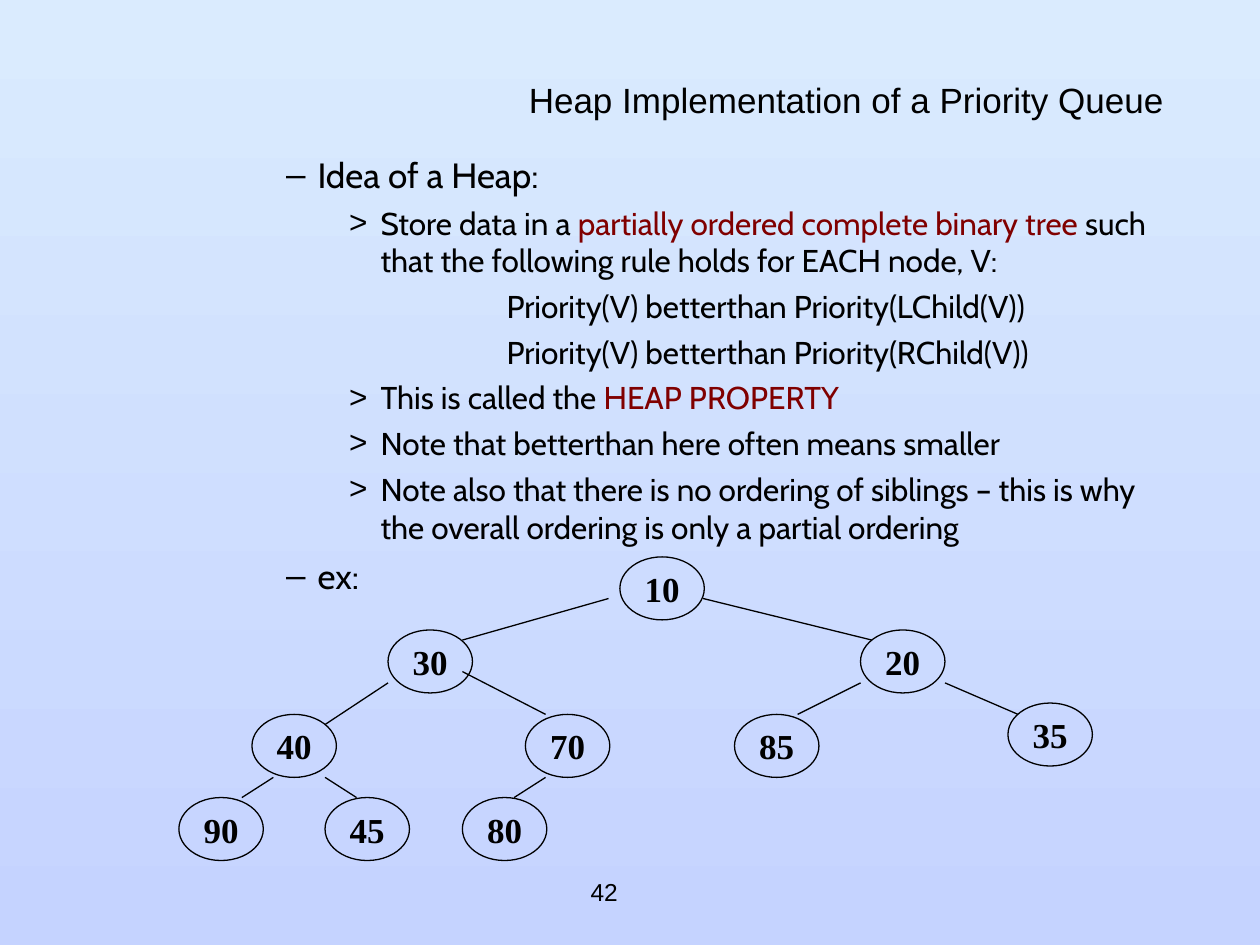
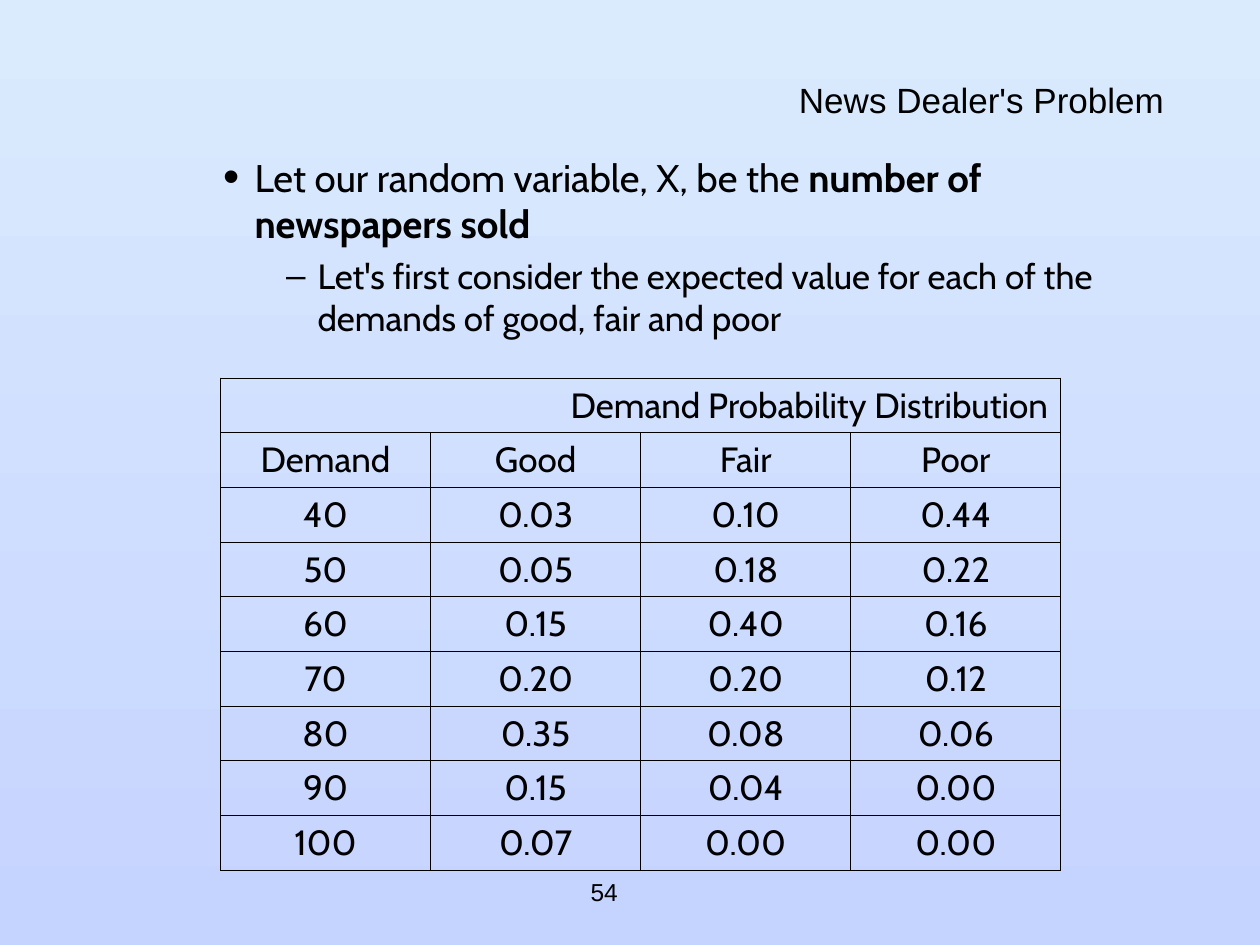
from lxml import etree
from pptx import Presentation
from pptx.dml.color import RGBColor
from pptx.enum.shapes import MSO_CONNECTOR, MSO_SHAPE
from pptx.enum.text import MSO_ANCHOR, MSO_AUTO_SIZE, PP_ALIGN
from pptx.oxml.ns import qn
from pptx.util import Inches, Pt

OVAL = MSO_SHAPE.OVAL
LINE = MSO_CONNECTOR.STRAIGHT
MIDDLE, TOP = MSO_ANCHOR.MIDDLE, MSO_ANCHOR.TOP
NO_FIT = MSO_AUTO_SIZE.NONE
CENTER, LEFT, RIGHT = PP_ALIGN.CENTER, PP_ALIGN.LEFT, PP_ALIGN.RIGHT

COLORS = {"ink": "000000", "key": "800000", "sky": "DAEBFE", "base": "C5D3FF"}
SANS, BODY, SERIF = "Arial", "Cabin", "Times New Roman"

# Text size and bullet by list level
SIZES = {2: 22, 3: 20, 4: 18}
MARKS = {2: "•", 3: "–", 4: ">"}

# Heap nodes: value, left, top
NODES = [
    (10, 4.92, 4.42), (30, 3.08, 5), (40, 2, 5.67), (70, 4.17, 5.67),
    (90, 1.42, 6.33), (45, 2.58, 6.33), (20, 6.83, 5), (80, 3.67, 6.33),
    (35, 8, 5.58), (85, 5.83, 5.67),
]
# Heap edges: start x, start y, end x, end y
EDGES = [
    (3.67, 5.08, 4.83, 4.75), (2.58, 5.75, 3.08, 5.42),
    (1.92, 6.33, 2.17, 6.17), (2.83, 6.33, 2.58, 6.17),
    (4.08, 6.33, 4.33, 6.17), (4.33, 5.67, 3.67, 5.33),
    (5.58, 4.75, 6.92, 5.08), (6.33, 5.67, 6.83, 5.42),
    (7.5, 5.42, 8.08, 5.67),
]
# List rows: level, bulleted, runs (every second run is stressed)
HEAP = [
    (3, True, ["Idea of a Heap:"]),
    (4, True, ["Store data in a ", "partially ordered complete binary tree",
               " such that the following rule holds for EACH node, V:"]),
    (4, False, ["Priority(V) betterthan Priority(LChild(V))"]),
    (4, False, ["Priority(V) betterthan Priority(RChild(V))"]),
    (4, True, ["This is called the ", "HEAP PROPERTY"]),
    (4, True, ["Note that betterthan here often means smaller"]),
    (4, True, ["Note also that there is no ordering of siblings – this is why "
               "the overall ordering is only a partial ordering"]),
    (3, True, ["ex:"]),
]
NEWS = [
    (2, True, ["Let our random variable, X, be the ",
               "number of newspapers sold"]),
    (3, True, ["Let's first consider the expected value for each of the "
               "demands of good, fair and poor"]),
]
DEMAND = [
    ("Demand", "Good", "Fair", "Poor"),
    ("40", "0.03", "0.10", "0.44"),
    ("50", "0.05", "0.18", "0.22"),
    ("60", "0.15", "0.40", "0.16"),
    ("70", "0.20", "0.20", "0.12"),
    ("80", "0.35", "0.08", "0.06"),
    ("90", "0.15", "0.04", "0.00"),
    ("100", "0.07", "0.00", "0.00"),
]


def rgb(name):
    return RGBColor.from_string(COLORS[name])


def box(x, y, w, h):
    return [Inches(n) for n in (x, y, w, h)]


def place(shape, x, y, w, h):
    shape.left, shape.top, shape.width, shape.height = box(x, y, w, h)


def style(run, size, face, color="ink", bold=False):
    font = run.font
    font.size, font.name, font.bold = Pt(size), face, bold
    font.color.rgb = rgb(color)


def label(frame, text, size, face, align=CENTER, bold=False):
    """Fill a frame with one styled line."""
    frame.text = text
    para = frame.paragraphs[0]
    para.alignment = align
    style(para.runs[0], size, face, bold=bold)
    return para


def paint(master):
    """Give all slides the same blue gradient."""
    fill = master.background.fill
    fill.gradient()
    fill.gradient_angle = 270
    for stop, name in zip(fill.gradient_stops, ("sky", "base")):
        stop.color.rgb = rgb(name)


def start(deck, title, page):
    """Add a slide with its title and page number."""
    slide = deck.slides.add_slide(deck.slide_layouts[1])
    head = slide.shapes.title
    place(head, 0.67, 0.67, 8.67, 0.33)
    frame = head.text_frame
    frame.auto_size, frame.vertical_anchor = NO_FIT, MIDDLE
    label(frame, title, 20, SANS, RIGHT).line_spacing = 0.7

    foot = slide.shapes.add_textbox(*box(3.42, 6.83, 2.75, 0.5)).text_frame
    foot.word_wrap, foot.vertical_anchor = False, MIDDLE
    label(foot, str(page), 14, SANS)
    return slide


def bullet(para, level, marked):
    """Set the indent and the bullet of a list row."""
    props = para._p.get_or_add_pPr()
    left = 0.5 * level + 0.25 if marked else 3.25
    props.set("marL", str(Inches(left)))
    props.set("indent", str(Inches(-0.25 if marked else 0)))
    if not marked:
        etree.SubElement(props, qn("a:buNone"))
        return
    tint = etree.SubElement(props, qn("a:buClr"))
    etree.SubElement(tint, qn("a:srgbClr"), val=COLORS["ink"])
    scale = "120000" if level == 2 else "100000"
    etree.SubElement(props, qn("a:buSzPct"), val=scale)
    etree.SubElement(props, qn("a:buFont"), typeface=SANS)
    etree.SubElement(props, qn("a:buChar"), char=MARKS[level])


def fill_list(slide, rows, color="ink", bold=False):
    """Write the body list; color and bold apply to stressed runs."""
    body = slide.placeholders[1]
    place(body, 0.67, 1.17, 8.67, 5.5)
    frame = body.text_frame
    frame.auto_size, frame.vertical_anchor = NO_FIT, TOP
    for i, (level, marked, runs) in enumerate(rows):
        para = frame.add_paragraph() if i else frame.paragraphs[0]
        para.level, para.alignment = level, LEFT
        bullet(para, level, marked)
        size = SIZES[level]
        para.space_before = Pt(size / 4 if i else 0)
        for j, text in enumerate(runs):
            run = para.add_run()
            run.text = text
            if j % 2:
                style(run, size, BODY, color, bold)
            else:
                style(run, size, BODY)


def add_node(slide, value, x, y):
    node = slide.shapes.add_shape(OVAL, *box(x, y, 0.67, 0.5))
    node.shadow.inherit = False
    node.fill.background()
    node.line.color.rgb = rgb("ink")
    node.line.width = Pt(0.75)
    frame = node.text_frame
    frame.word_wrap, frame.vertical_anchor = False, MIDDLE
    label(frame, str(value), 20, SERIF, bold=True)


def add_edge(slide, *ends):
    edge = slide.shapes.add_connector(LINE, *box(*ends))
    edge.line.color.rgb = rgb("ink")
    edge.line.width = Pt(0.75)
    etree.SubElement(edge._element.spPr, qn("a:effectLst"))


def frame_cell(cell):
    """Clear the fill and draw thin borders."""
    cell.fill.background()
    props = cell._tc.get_or_add_tcPr()
    for i, side in enumerate("LRTB"):
        line = etree.Element(qn("a:ln" + side), w=str(Pt(0.45)))
        solid = etree.SubElement(line, qn("a:solidFill"))
        etree.SubElement(solid, qn("a:srgbClr"), val=COLORS["ink"])
        props.insert(i, line)


def add_grid(slide, title, rows):
    """Add a table with a title row across all columns."""
    count, width = len(rows) + 1, len(rows[0])
    area = box(1.75, 3, 6.67, 3.9)
    grid = slide.shapes.add_table(count, width, *area).table
    grid.first_row = grid.horz_banding = False
    for cell in grid.iter_cells():
        frame_cell(cell)
    grid.cell(0, 0).merge(grid.cell(0, width - 1))
    label(grid.cell(0, 0).text_frame, title, 20, BODY, RIGHT)
    for r, row in enumerate(rows, 1):
        for c, text in enumerate(row):
            label(grid.cell(r, c).text_frame, text, 20, BODY)


def main():
    deck = Presentation()
    deck.slide_width, deck.slide_height = Inches(10), Inches(7.5)
    paint(deck.slide_master)

    # Heap slide
    slide = start(deck, "Heap Implementation of a Priority Queue", 42)
    fill_list(slide, HEAP, color="key")
    for node in NODES:
        add_node(slide, *node)
    for edge in EDGES:
        add_edge(slide, *edge)

    # News dealer slide
    slide = start(deck, "News Dealer's Problem", 54)
    fill_list(slide, NEWS, bold=True)
    add_grid(slide, "Demand Probability Distribution", DEMAND)

    deck.save("out.pptx")


if __name__ == "__main__":
    main()
